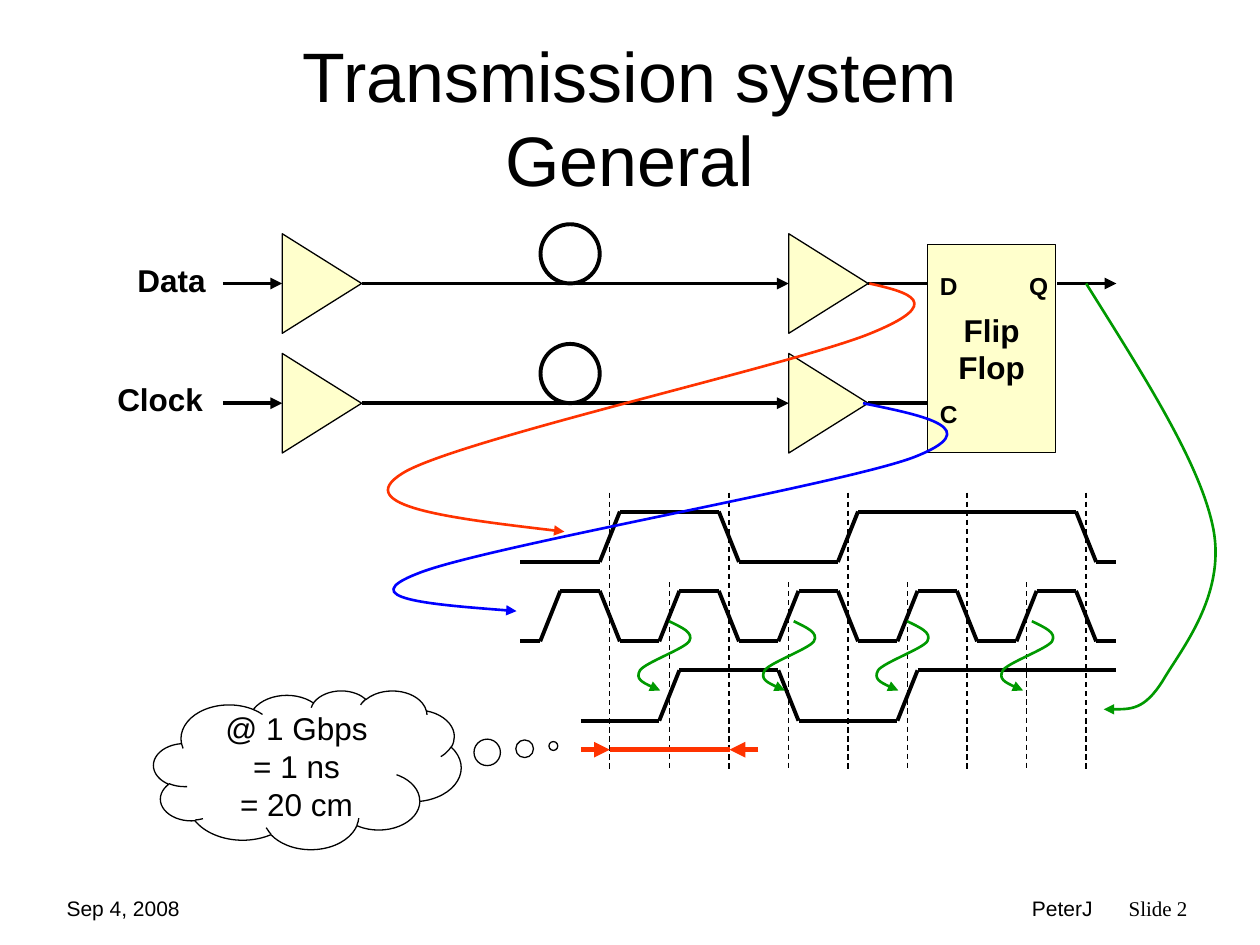
from itertools import pairwise

from lxml.etree import SubElement
from pptx import Presentation
from pptx.dml.color import RGBColor
from pptx.enum.dml import MSO_LINE
from pptx.enum.shapes import MSO_CONNECTOR, MSO_SHAPE
from pptx.enum.text import MSO_ANCHOR, MSO_AUTO_SIZE, PP_ALIGN
from pptx.oxml.ns import qn
from pptx.util import Inches, Pt

COLORS = {
    "black": "000000",
    "white": "FFFFFF",
    "cream": "FFFFCC",
    "red": "FF3300",
    "blue": "0000FF",
    "green": "009900",
}
BIT = 0.945
FIRST_EDGE = 4.84
WAVE_HEIGHT = 0.4
HALF_EDGE = 0.08


class Diagram:
    font_name = "Arial"
    thin, medium, wire, thick = 0.75, 1.5, 2.25, 3

    def __init__(self, slide):
        self.slide = slide
        self.shapes = slide.shapes

    def color(self, name):
        return RGBColor.from_string(COLORS[name])

    def style_line(self, shape, color, width, arrow=False, dashed=False):
        shape.line.color.rgb = self.color(color)
        shape.line.width = Pt(width)
        if dashed:
            shape.line.dash_style = MSO_LINE.DASH
        if arrow:
            outline = shape._element.spPr.find(qn("a:ln"))
            SubElement(outline, qn("a:tailEnd"), type="triangle")

    def set_text(self, frame, text, size, align, bold=False, font=None):
        frame.text = text
        for paragraph in frame.paragraphs:
            paragraph.alignment = align
            paragraph.font.name = font or self.font_name
            paragraph.font.size = Pt(size)
            paragraph.font.bold = bold
            paragraph.font.color.rgb = self.color("black")

    def title(self, text, left, top, width, height):
        shape = self.shapes.title
        shape.left, shape.top = Inches(left), Inches(top)
        shape.width, shape.height = Inches(width), Inches(height)
        frame = shape.text_frame
        self.set_text(frame, text, 40, PP_ALIGN.CENTER)
        frame.auto_size = MSO_AUTO_SIZE.NONE
        frame.vertical_anchor = MSO_ANCHOR.MIDDLE

    def label(self, text, left, top, width, height, size, align,
              bold=True, wrap=False, font=None):
        box = self.shapes.add_textbox(
            Inches(left), Inches(top), Inches(width), Inches(height))
        box.text_frame.word_wrap = wrap
        self.set_text(box.text_frame, text, size, align, bold, font)

    def shape(self, kind, left, top, width, height, fill=None, line_width=thin):
        shape = self.shapes.add_shape(
            kind, Inches(left), Inches(top), Inches(width), Inches(height))
        shape.shadow.inherit = False
        if fill:
            shape.fill.solid()
            shape.fill.fore_color.rgb = self.color(fill)
        else:
            shape.fill.background()
        self.style_line(shape, "black", line_width)
        return shape

    def text_shape(self, kind, text, left, top, width, height, fill, bold, wrap):
        shape = self.shape(kind, left, top, width, height, fill)
        frame = shape.text_frame
        frame.word_wrap = wrap
        frame.vertical_anchor = MSO_ANCHOR.MIDDLE
        self.set_text(frame, text, 18, PP_ALIGN.CENTER, bold)
        return shape

    def buffer(self, left, center):
        width, height = 0.63, 0.79
        triangle = self.shape(
            MSO_SHAPE.ISOSCELES_TRIANGLE, left - (height - width) / 2,
            center - width / 2, height, width, "cream")
        triangle.rotation = 90

    def line(self, start, end, color="black", width=wire, arrow=False, dashed=False):
        connector = self.shapes.add_connector(
            MSO_CONNECTOR.STRAIGHT, *map(Inches, start + end))
        self.style_line(connector, color, width, arrow, dashed)
        SubElement(connector._element.spPr, qn("a:effectLst"))

    def waveform(self, start, end, high, edges):
        low = high + WAVE_HEIGHT
        points, level, following = [(start, low)], low, high
        for edge in edges:
            points += [(edge - HALF_EDGE, level), (edge + HALF_EDGE, following)]
            level, following = following, level
        points.append((end, level))
        for segment in pairwise(points):
            self.line(*segment)

    def curve(self, points, color):
        start, *rest = [(Inches(x), Inches(y)) for x, y in points]
        builder = self.shapes.build_freeform(*start)
        builder.add_line_segments(rest, close=False)
        shape = builder.convert_to_shape()
        outline = shape._element.spPr.find(".//" + qn("a:path"))
        steps = outline.findall(qn("a:lnTo"))
        for index in range(0, len(steps), 3):
            bezier = SubElement(outline, qn("a:cubicBezTo"))
            for step in steps[index:index + 3]:
                bezier.append(step[0])
                outline.remove(step)
        shape.shadow.inherit = False
        shape.fill.background()
        self.style_line(shape, color, self.medium, arrow=True)


def main():
    presentation = Presentation()
    presentation.slide_width, presentation.slide_height = Inches(10), Inches(7.5)
    slide = presentation.slides.add_slide(presentation.slide_layouts[5])
    diagram = Diagram(slide)

    diagram.title("Transmission system\vGeneral", 0.5, 0.3, 9, 1.25)
    diagram.label("Sep 4, 2008", 0.43, 7.06, 1.45, 0.29, 12, PP_ALIGN.LEFT,
                  bold=False, wrap=True)
    diagram.label("PeterJ", 6.34, 7.06, 2.43, 0.29, 12, PP_ALIGN.RIGHT,
                  bold=False, wrap=True)
    diagram.label("Slide 2", 8.86, 7.06, 0.94, 0.3, 12, PP_ALIGN.LEFT,
                  bold=False, wrap=True, font="Times New Roman")

    diagram.text_shape(MSO_SHAPE.RECTANGLE, "Flip\nFlop", 7.36, 1.94, 1.02, 1.65,
                       "cream", bold=True, wrap=False)
    for pin, left, top in [("D", 7.36, 2.1), ("C", 7.36, 3.12), ("Q", 8.07, 2.1)]:
        diagram.label(pin, left, top, 0.34, 0.34, 14, PP_ALIGN.CENTER)

    for name, left, width, y in [("Data", 0.99, 0.74, 2.25),
                                 ("Clock", 0.83, 0.88, 3.2)]:
        diagram.label(name, left, y - 0.23, width, 0.4, 18, PP_ALIGN.RIGHT)
        for buffer_left in (2.24, 6.26):
            diagram.buffer(buffer_left, y)
        diagram.line((1.77, y), (2.24, y), arrow=True)
        diagram.line((2.87, y), (6.26, y), arrow=True)
        diagram.line((6.89, y), (7.36, y))
        diagram.shape(MSO_SHAPE.OVAL, 4.29, y - 0.47, 0.47, 0.47,
                      line_width=diagram.wire)
    diagram.line((8.39, 2.25), (8.86, 2.25), arrow=True)

    for first, top, count in [(FIRST_EDGE, 3.91, 5), (FIRST_EDGE + BIT / 2, 4.62, 4)]:
        for index in range(count):
            x = first + index * BIT
            diagram.line((x, top), (x, 6.11), width=diagram.thin, dashed=True)

    waveforms = [
        (4.13, 4.06, (0, 1, 2, 4)),
        (4.13, 4.69, [index / 2 for index in range(-1, 9)]),
        (4.61, 5.32, (0.5, 1.5, 2.5)),
    ]
    for start, high, bits in waveforms:
        diagram.waveform(start, 8.86, high, [FIRST_EDGE + bit * BIT for bit in bits])

    diagram.curve([(6.9, 2.25), (7.21, 2.32), (7.52, 2.4), (6.9, 2.65),
                   (6.28, 2.9), (3.59, 3.5), (3.19, 3.76),
                   (2.78, 4.02), (3.63, 4.12), (4.48, 4.22)], "red")
    diagram.curve([(6.85, 3.2), (7.34, 3.3), (7.84, 3.4), (7.25, 3.63),
                   (6.66, 3.85), (3.84, 4.34), (3.32, 4.55),
                   (2.8, 4.75), (3.45, 4.8), (4.1, 4.85)], "blue")
    diagram.curve([(8.62, 2.25), (9.07, 2.97), (9.53, 3.68), (9.63, 4.2),
                   (9.73, 4.73), (9.37, 5.16), (9.23, 5.4),
                   (9.08, 5.64), (8.92, 5.63), (8.76, 5.63)], "green")
    sampling = [(0, 0), (0.1, 0.05), (0.2, 0.09), (0.16, 0.16),
                (0.12, 0.22), (-0.19, 0.33), (-0.23, 0.39),
                (-0.27, 0.46), (-0.17, 0.51), (-0.07, 0.55)]
    for x in (5.31, 6.3, 7.2, 8.19):
        diagram.curve([(x + dx, 4.93 + dy) for dx, dy in sampling], "green")

    cloud = diagram.text_shape(
        MSO_SHAPE.CLOUD_CALLOUT, "@ 1 Gbps\n= 1 ns\n= 20 cm",
        1.22, 5.48, 2.44, 1.26, "white", bold=False, wrap=True)
    cloud.adjustments[0], cloud.adjustments[1] = 0.8, -0.15

    for start, end, arrow in [(4.61, 4.84, True), (6.02, 5.79, True),
                              (5.79, 4.84, False)]:
        diagram.line((start, 5.95), (end, 5.95), "red", diagram.thick, arrow)

    presentation.save("out.pptx")


if __name__ == "__main__":
    main()
